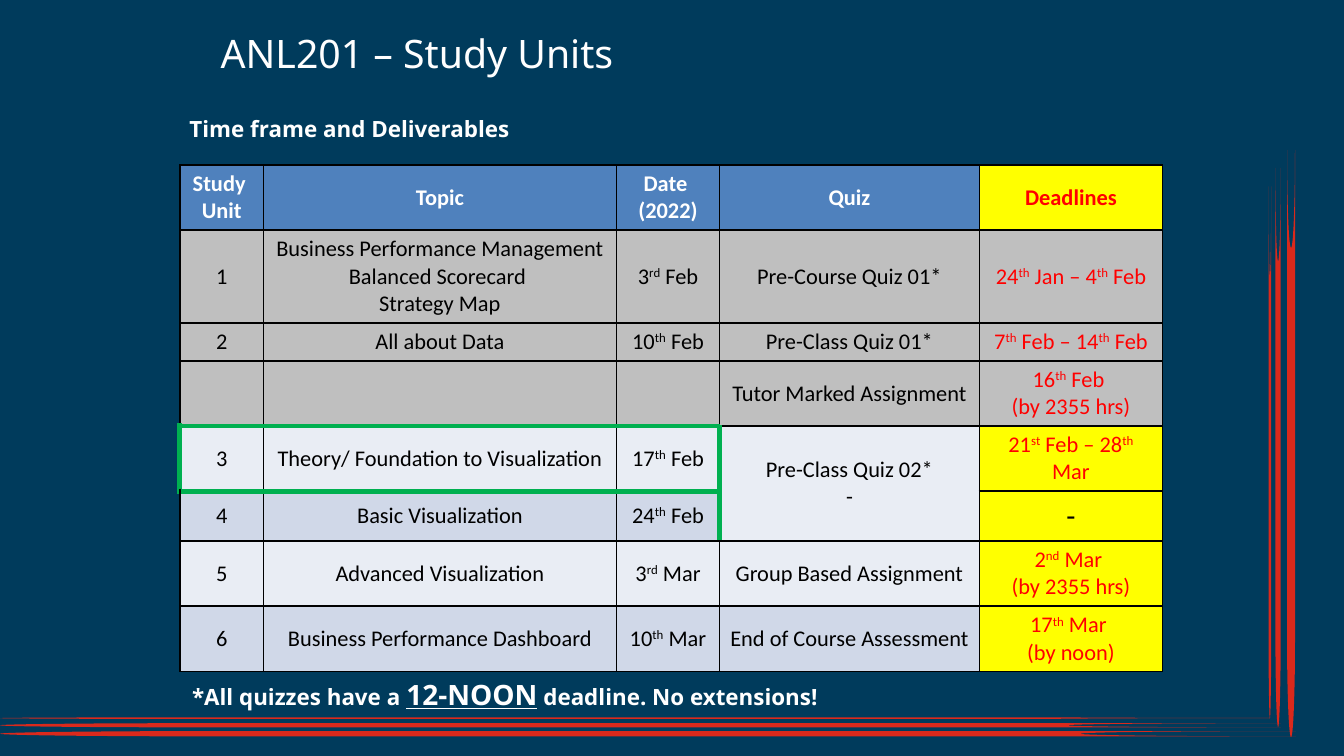
from dataclasses import dataclass

from lxml.etree import SubElement
from pptx import Presentation
from pptx.dml.color import RGBColor
from pptx.enum.shapes import MSO_SHAPE as Shape
from pptx.enum.text import MSO_ANCHOR as Anchor, MSO_AUTO_SIZE as AutoSize, PP_ALIGN as Align
from pptx.oxml.ns import qn
from pptx.util import Cm, Pt

COLORS = {
    "navy": "003B5C", "stripe": "DA291C", "white": "FFFFFF", "black": "000000",
    "red": "FF0000", "yellow": "FFFF00", "header": "4F81BD", "done": "BFBFBF",
    "light": "E9EDF4", "band": "D0D8E8", "green": "00B050",
}
HEADING_FONT, TABLE_FONT = "Noto Sans", "Calibri"
COLUMN_WIDTHS = [1.58, 6.67, 1.95, 4.91, 3.46]
DEADLINE_COLUMN = len(COLUMN_WIDTHS) - 1
CURRENT_ROW, CURRENT_COLUMNS = 4, range(3)


@dataclass
class Stripe:
    left: float
    top: float
    length: float
    thickness: float
    rotation: int = 0


@dataclass
class Span:
    text: str
    size: float = 12
    bold: bool = True
    underline: bool = False
    raised: bool = False


@dataclass
class StudyRow:
    height: float
    fill: str
    deadline_fill: str
    cells: list[str]


STRIPES = [
    Stripe(0, 13.56, 24.0, 0.03),
    Stripe(0, 13.67, 24.21, 0.08),
    Stripe(0, 13.82, 24.49, 0.1),
    Stripe(18.97, 8.53, 10.06, 0.05, 270),
    Stripe(18.87, 8.41, 10.57, 0.1, 270),
    Stripe(18.85, 8.31, 11.1, 0.15, 270),
]

# Text between two carets is superscript.
ROWS = [
    StudyRow(1.2, "header", "yellow",
             ["Study \nUnit", "Topic", "Date \n(2022)", "Quiz", "Deadlines"]),
    StudyRow(1.73, "done", "done",
             ["1", "Business Performance Management\nBalanced Scorecard \nStrategy Map",
              "3^rd^ Feb", "Pre-Course Quiz 01*", "24^th^ Jan – 4^th^ Feb"]),
    StudyRow(0.71, "done", "done",
             ["2", "All about Data", "10^th^ Feb", "Pre-Class Quiz 01*",
              "7^th^ Feb – 14^th^ Feb"]),
    StudyRow(1.2, "done", "done",
             ["", "", "", "Tutor Marked Assignment", "16^th^ Feb \n(by 2355 hrs)"]),
    StudyRow(1.2, "light", "yellow",
             ["3", "Theory/ Foundation to Visualization", "17^th^ Feb",
              "Pre-Class Quiz 02*\n-", "21^st^ Feb – 28^th^ Mar"]),
    StudyRow(0.94, "band", "yellow",
             ["4", "Basic Visualization", "24^th^ Feb", "", "-"]),
    StudyRow(1.2, "light", "yellow",
             ["5", "Advanced Visualization", "3^rd^ Mar", "Group Based Assignment",
              "2^nd^ Mar \n(by 2355 hrs)"]),
    StudyRow(1.2, "band", "yellow",
             ["6", "Business Performance Dashboard", "10^th^ Mar",
              "End of Course Assessment", "17^th^ Mar \n(by noon)"]),
]


def rgb(name: str) -> RGBColor:
    return RGBColor.from_string(COLORS[name])


def write_spans(para, spans: list[Span], font: str, color: str) -> None:
    for span in spans:
        run = para.add_run()
        run.text = span.text
        run.font.name, run.font.size = font, Pt(span.size)
        run.font.bold = span.bold
        run.font.color.rgb = rgb(color)
        if span.underline:
            run.font.underline = True
        if span.raised:
            run._r.get_or_add_rPr().set("baseline", "30000")


def fill_box(box, left: float, top: float, width: float, height: float,
             spans: list[Span], hanging: bool = True) -> None:
    """Place a box and write one left-aligned line of white heading text in it."""
    box.left, box.top, box.width, box.height = map(Cm, (left, top, width, height))
    frame = box.text_frame
    frame.word_wrap, frame.auto_size = True, AutoSize.NONE
    frame.vertical_anchor = Anchor.TOP
    frame.margin_left = frame.margin_right = Cm(0.18)
    frame.margin_top = frame.margin_bottom = Cm(0.1)
    para = frame.paragraphs[0]
    para.alignment, para.space_before = Align.LEFT, Pt(0)
    if hanging:
        properties = para._p.get_or_add_pPr()
        properties.set("marL", str(Cm(0.71)))
        properties.set("indent", str(-Cm(0.71)))
        SubElement(properties, qn("a:buNone"))
    write_spans(para, spans, HEADING_FONT, "white")


def draw_stripe(page, stripe: Stripe) -> None:
    shape = page.shapes.add_shape(Shape.FLOWCHART_STORED_DATA, Cm(stripe.left), Cm(stripe.top),
                                  Cm(stripe.length), Cm(stripe.thickness))
    shape.rotation = stripe.rotation
    shape.shadow.inherit = False
    shape.fill.solid()
    shape.fill.fore_color.rgb = rgb("stripe")
    shape.line.fill.background()


def current_edges() -> set[tuple[int, int, str]]:
    """List each cell side that lies on the frame around the current unit."""
    row, first, last = CURRENT_ROW, CURRENT_COLUMNS[0], CURRENT_COLUMNS[-1]
    edges = {(row, first, "L"), (row, last, "R"), (row, last + 1, "L")}
    for column in CURRENT_COLUMNS:
        edges |= {(row - 1, column, "B"), (row, column, "T"),
                  (row, column, "B"), (row + 1, column, "T")}
    return edges


def draw_border(cell, side: str, color: str, points: float) -> None:
    line = SubElement(cell._tc.get_or_add_tcPr(), qn(f"a:ln{side}"), w=str(Pt(points)))
    SubElement(SubElement(line, qn("a:solidFill")), qn("a:srgbClr"), val=COLORS[color])


def write_cell(cell, text: str, color: str, bold: bool) -> None:
    cell.vertical_anchor = Anchor.MIDDLE
    cell.margin_left = cell.margin_right = Cm(0.18)
    cell.margin_top = cell.margin_bottom = Cm(0.1)
    size = 16 if text == "-" else 12
    for index, line in enumerate(text.split("\n")):
        frame = cell.text_frame
        para = frame.add_paragraph() if index else frame.paragraphs[0]
        para.alignment = Align.CENTER
        spans = [Span(part, size, bold, raised=position % 2 == 1)
                 for position, part in enumerate(line.split("^")) if part]
        write_spans(para, spans, TABLE_FONT, color)


def draw_schedule(page) -> None:
    heights = [row.height for row in ROWS]
    table = page.shapes.add_table(len(ROWS), len(COLUMN_WIDTHS), Cm(3.4), Cm(3.12),
                                  Cm(sum(COLUMN_WIDTHS)), Cm(sum(heights))).table
    table.first_row = table.horz_banding = False
    for column, width in zip(table.columns, COLUMN_WIDTHS):
        column.width = Cm(width)
    edges = current_edges()
    for r, row in enumerate(ROWS):
        table.rows[r].height = Cm(row.height)
        for c, text in enumerate(row.cells):
            cell = table.cell(r, c)
            is_deadline = c == DEADLINE_COLUMN
            color = "white" if r == 0 else "black"
            if is_deadline and text != "-":
                color = "red"
            write_cell(cell, text, color, bold=r == 0)
            for side in "LRTB":
                draw_border(cell, side, *(("green", 3) if (r, c, side) in edges else ("black", 1)))
            cell.fill.solid()
            cell.fill.fore_color.rgb = rgb(row.deadline_fill if is_deadline else row.fill)
    table.cell(CURRENT_ROW, 3).merge(table.cell(CURRENT_ROW + 1, 3))


def main() -> None:
    deck = Presentation()
    deck.slide_width, deck.slide_height = Cm(25.4), Cm(14.29)
    page = deck.slides.add_slide(deck.slide_layouts[1])
    page.background.fill.solid()
    page.background.fill.fore_color.rgb = rgb("navy")
    for stripe in STRIPES:
        draw_stripe(page, stripe)
    fill_box(page.shapes.title, 3.99, 0.46, 15.72, 1.27,
             [Span("ANL201 – Study Units", 21, bold=False)], hanging=False)
    fill_box(page.placeholders[1], 3.4, 2.08, 15.72, 0.64, [Span("Time frame and Deliverables")])
    draw_schedule(page)
    footnote = page.shapes.add_textbox(0, 0, 0, 0)
    fill_box(footnote, 3.45, 12.7, 15.72, 0.64,
             [Span("*All quizzes have a "), Span("12-NOON", 15, underline=True),
              Span(" deadline. No extensions!")])
    deck.save("out.pptx")


if __name__ == "__main__":
    main()
